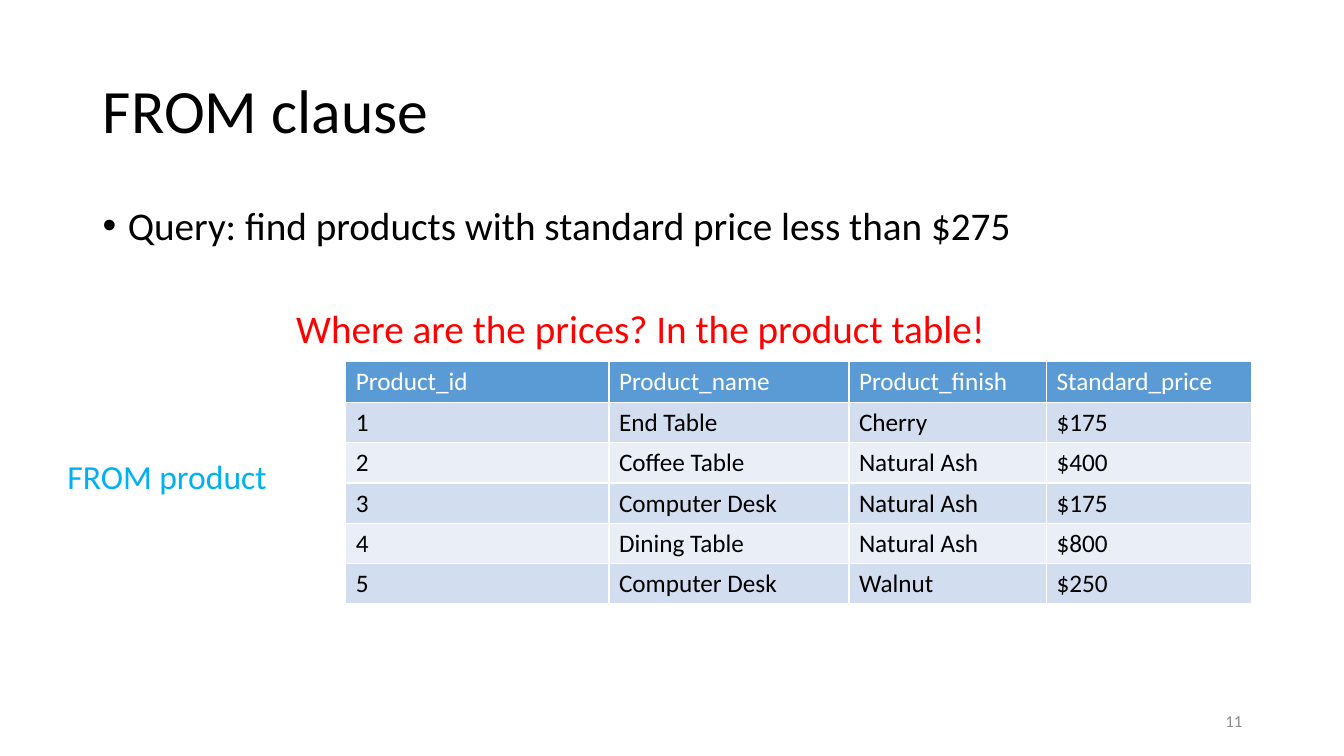
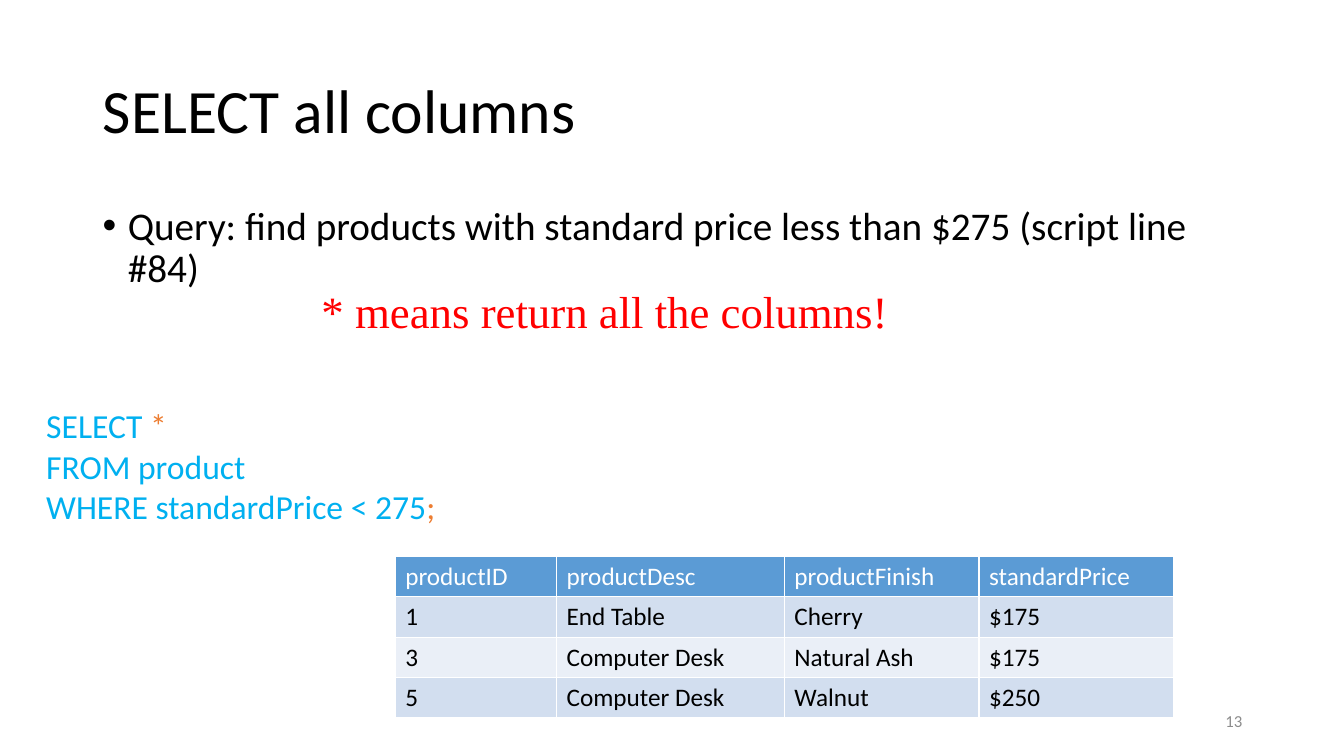
from lxml.etree import SubElement
from pptx import Presentation
from pptx.dml.color import RGBColor
from pptx.enum.text import MSO_ANCHOR, PP_ALIGN
from pptx.oxml.ns import qn
from pptx.util import Inches, Pt

BLACK, WHITE, RED = "000000", "FFFFFF", "FF0000"
GREY, CYAN, ORANGE = "8C8C8C", "00B0F0", "ED7D31"
HEAD, BANDS = "5B9BD5", ("D2DEEF", "EAEFF7")
FONT = "Calibri"
ROW = 0.4


def rgb(code):
    """Turn a hex string into a colour."""
    return RGBColor.from_string(code)


def write(frame, lines, size=18, color=BLACK, font=FONT, align=PP_ALIGN.LEFT,
          anchor=MSO_ANCHOR.TOP, indent=0, bullet=None, space=None, before=None):
    """Fill a frame with lines, each a string or a list of (text, colour) runs."""
    frame.word_wrap = True
    frame.vertical_anchor = anchor
    for num, line in enumerate([lines] if isinstance(lines, str) else lines):
        para = frame.add_paragraph() if num else frame.paragraphs[0]
        para.alignment, para.line_spacing = align, space
        if before is not None:
            para.space_before = Pt(before)
        props = para._p.get_or_add_pPr()
        if indent:
            props.set("marL", str(Inches(indent)))
            props.set("indent", str(Inches(-indent if bullet else 0)))
        if bullet:
            SubElement(props, qn("a:buFont"), typeface="Arial")
            SubElement(props, qn("a:buChar"), char=bullet)
        for text, tint in [(line, color)] if isinstance(line, str) else line:
            run = para.add_run()
            run.text = text
            run.font.size, run.font.name = Pt(size), font
            run.font.color.rgb = rgb(tint)


def label(slide, box, lines, **style):
    """Add a text box at the given place in inches."""
    shape = slide.shapes.add_textbox(*map(Inches, box))
    write(shape.text_frame, lines, **style)


def edge(cell):
    """Draw thin white borders around a cell."""
    props = cell._tc.get_or_add_tcPr()
    for side in ("lnL", "lnR", "lnT", "lnB"):
        line = SubElement(props, qn(f"a:{side}"), w=str(Pt(1)))
        fill = SubElement(line, qn("a:solidFill"))
        SubElement(fill, qn("a:srgbClr"), val=WHITE)


def grid(slide, left, top, widths, rows):
    """Add a banded table with a header row."""
    place = map(Inches, (left, top, sum(widths), ROW * len(rows)))
    table = slide.shapes.add_table(len(rows), len(widths), *place).table
    for col, width in zip(table.columns, widths):
        col.width = Inches(width)
    for num, row in enumerate(rows):
        for col, text in enumerate(row):
            cell = table.cell(num, col)
            edge(cell)
            cell.fill.solid()
            cell.fill.fore_color.rgb = rgb(BANDS[(num - 1) % 2] if num else HEAD)
            write(cell.text_frame, text, color=BLACK if num else WHITE)


def page(deck, title, query, number):
    """Add a slide with its title, bulleted query and page number."""
    slide = deck.slides.add_slide(deck.slide_layouts[5])
    head = slide.shapes.title
    head.left, head.top, head.width, head.height = map(Inches, (0.92, 0.4, 11.5, 1.45))
    write(head.text_frame, title, size=44, anchor=MSO_ANCHOR.MIDDLE, space=0.9)
    label(slide, (0.92, 2, 11.5, 4.76), query, size=28, indent=0.25,
          bullet="•", space=0.9, before=10)
    label(slide, (9.42, 6.95, 3, 0.4), number, size=12, color=GREY,
          align=PP_ALIGN.RIGHT, anchor=MSO_ANCHOR.MIDDLE)
    return slide


def main():
    """Build and save the deck."""
    deck = Presentation()
    deck.slide_width, deck.slide_height = Inches(13.33), Inches(7.5)
    query = "Query: find products with standard price less than $275"
    goods = [
        ("1", "End Table", "Cherry", "$175"),
        ("2", "Coffee Table", "Natural Ash", "$400"),
        ("3", "Computer Desk", "Natural Ash", "$175"),
        ("4", "Dining Table", "Natural Ash", "$800"),
        ("5", "Computer Desk", "Walnut", "$250"),
    ]
    cheap = [row for row in goods if int(row[3].strip("$")) < 275]

    slide = page(deck, "FROM clause", query, "11")
    names = ("Product_id", "Product_name", "Product_finish", "Standard_price")
    grid(slide, 3.43, 3.59, (2.61, 2.38, 1.96, 2.03), [names, *goods])
    label(slide, (2.84, 2.97, 8.37, 0.57),
          "Where are the prices? In the product table!", size=28, color=RED)
    label(slide, (0.07, 4.47, 2.78, 0.5), "FROM product",
          size=24, color=CYAN, indent=0.5)

    slide = page(deck, "SELECT all columns", f"{query} (script line #84)", "13")
    label(slide, (2.59, 2.77, 8.1, 1.04), "* means return all the columns!",
          size=32, color=RED, font="Times New Roman", indent=0.5)
    names = ("productID", "productDesc", "productFinish", "standardPrice")
    grid(slide, 3.92, 5.52, (1.6, 2.26, 1.93, 1.93), [names, *cheap])
    code = [
        [("SELECT ", CYAN), ("*", ORANGE)],
        "FROM product",
        [("WHERE standardPrice < 275", CYAN), (";", ORANGE)],
    ]
    label(slide, (-0.14, 3.97, 6.67, 1.31), code, size=24, color=CYAN, indent=0.5)

    deck.save("out.pptx")


if __name__ == "__main__":
    main()
